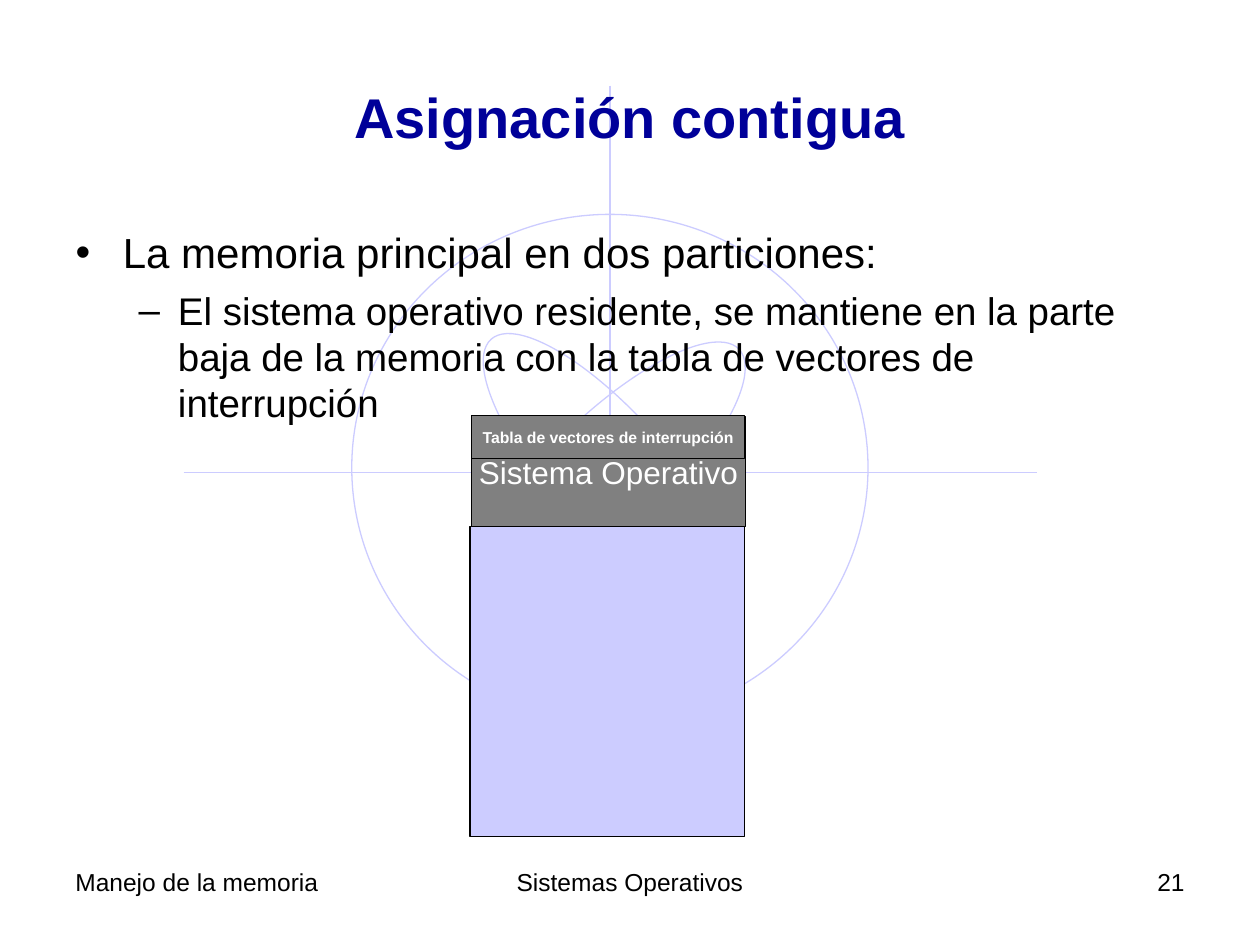
from dataclasses import dataclass

from lxml.etree import SubElement
from pptx import Presentation
from pptx.dml.color import RGBColor
from pptx.enum.shapes import MSO_CONNECTOR, MSO_SHAPE
from pptx.enum.text import MSO_ANCHOR, MSO_AUTO_SIZE, PP_ALIGN
from pptx.oxml.ns import qn
from pptx.util import Pt


@dataclass(frozen=True)
class Theme:
    font: str = "Arial"
    title: str = "000099"
    ink: str = "000000"
    light: str = "FFFFFF"
    lilac: str = "CCCCFF"
    gray: str = "808080"
    title_size: float = 32
    body_size: float = 24
    sub_size: float = 22
    box_size: float = 18
    footer_size: float = 14
    small_size: float = 9
    line: float = 0.75


T = Theme()


def set_attrs(obj, values):
    for name, value in values.items():
        setattr(obj, name, value)


def write(p, text, size, color, bold=False, align=PP_ALIGN.LEFT):
    p.alignment = align
    r = p.add_run()
    r.text = text
    set_attrs(r.font, {"name": T.font, "size": Pt(size), "bold": bold})
    r.font.color.rgb = RGBColor.from_string(color)


def style_line(line, color):
    line.color.rgb = RGBColor.from_string(color)
    line.width = Pt(T.line)


def add_line(s, x1, y1, x2, y2):
    c = s.shapes.add_connector(MSO_CONNECTOR.STRAIGHT, Pt(x1), Pt(y1), Pt(x2), Pt(y2))
    style_line(c.line, T.lilac)
    SubElement(c.element.spPr, qn("a:effectLst"))


def add_ellipse(s, cx, cy, w, h, rotation=0):
    sp = s.shapes.add_shape(MSO_SHAPE.OVAL, Pt(cx - w / 2), Pt(cy - h / 2), Pt(w), Pt(h))
    sp.rotation = rotation
    sp.shadow.inherit = False
    sp.fill.background()
    style_line(sp.line, T.lilac)


def add_emblem(s):
    cx, cy = 348.5, 270
    add_line(s, cx, 49, cx, 469)
    add_line(s, 105, cy, 592.5, cy)
    add_ellipse(s, cx, 267.25, 295, 289.5)
    for rotation in (46.3, 318.3):
        add_ellipse(s, cx, cy, 67.5, 204, rotation)


def add_block(s, x, y, w, h, fill, text="", size=T.box_size, bold=False):
    sp = s.shapes.add_shape(MSO_SHAPE.RECTANGLE, Pt(x), Pt(y), Pt(w), Pt(h))
    sp.shadow.inherit = False
    sp.fill.solid()
    sp.fill.fore_color.rgb = RGBColor.from_string(fill)
    style_line(sp.line, T.ink)
    if text:
        tf = sp.text_frame
        set_attrs(tf, {"word_wrap": False, "vertical_anchor": MSO_ANCHOR.MIDDLE})
        write(tf.paragraphs[0], text, size, T.light, bold, PP_ALIGN.CENTER)


def add_footer(s, x, w, text, align):
    tf = s.shapes.add_textbox(Pt(x), Pt(492), Pt(w), Pt(37.5)).text_frame
    tf.word_wrap = True
    write(tf.paragraphs[0], text, T.footer_size, T.ink, align=align)


def place(sp, x, y, w, h, anchor):
    set_attrs(sp, {"left": Pt(x), "top": Pt(y), "width": Pt(w), "height": Pt(h)})
    set_attrs(sp.text_frame, {"auto_size": MSO_AUTO_SIZE.NONE, "word_wrap": True,
                              "vertical_anchor": anchor})
    sp.element.getparent().append(sp.element)


def add_bullet(p, char, margin, hanging, before):
    p.space_before = Pt(before)
    pPr = p._p.get_or_add_pPr()
    pPr.set("marL", str(Pt(margin)))
    pPr.set("indent", str(-Pt(hanging)))
    SubElement(SubElement(pPr, qn("a:buClr")), qn("a:srgbClr")).set("val", T.ink)
    SubElement(pPr, qn("a:buFont")).set("typeface", T.font)
    SubElement(pPr, qn("a:buChar")).set("char", char)


def fill_title(sp, text):
    place(sp, 36, 21.5, 648, 90, MSO_ANCHOR.MIDDLE)
    write(sp.text_frame.paragraphs[0], text, T.title_size, T.title, True, PP_ALIGN.CENTER)


def fill_body(sp, main_point, sub_point):
    place(sp, 36, 126, 648, 356.5, MSO_ANCHOR.TOP)
    p = sp.text_frame.paragraphs[0]
    write(p, main_point, T.body_size, T.ink)
    add_bullet(p, "•", 27, 27, 6)
    p = sp.text_frame.add_paragraph()
    p.level = 1
    write(p, sub_point, T.sub_size, T.ink)
    add_bullet(p, "–", 58.5, 22.5, 5.5)


def main():
    prs = Presentation()
    set_attrs(prs, {"slide_width": Pt(720), "slide_height": Pt(540)})
    s = prs.slides.add_slide(prs.slide_layouts[1])
    title, body = s.placeholders
    add_emblem(s)
    fill_title(title, "Asignación contigua")
    fill_body(body, "La memoria principal en dos particiones:",
              "El sistema operativo residente, se mantiene en la parte baja de la "
              "memoria con la tabla de vectores de interrupción")

    add_block(s, 268.5, 301, 157, 177, T.lilac)
    add_block(s, 269.5, 238, 156.5, 63, T.gray, "Sistema Operativo")
    add_block(s, 269.5, 237.5, 156, 24.5, T.gray, "Tabla de vectores de interrupción",
              T.small_size, True)

    add_footer(s, 246, 228, "Sistemas Operativos", PP_ALIGN.CENTER)
    add_footer(s, 516, 168, "21", PP_ALIGN.RIGHT)
    add_footer(s, 36, 168, "Manejo de la memoria", PP_ALIGN.LEFT)
    prs.save("out.pptx")


if __name__ == "__main__":
    main()
